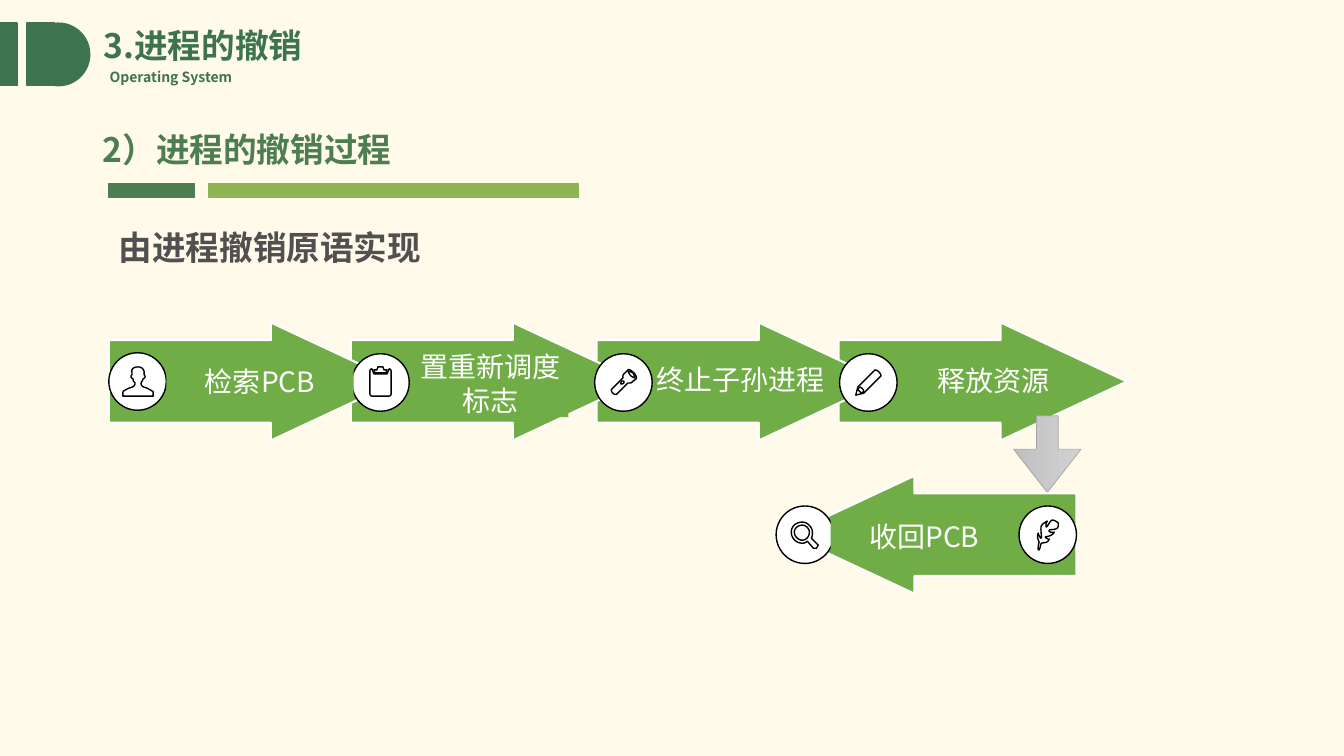
from dataclasses import dataclass
from typing import Iterator

from pptx import Presentation
from pptx.dml.color import RGBColor
from pptx.enum.shapes import MSO_SHAPE
from pptx.enum.text import MSO_ANCHOR, MSO_AUTO_SIZE, PP_ALIGN
from pptx.oxml.ns import qn
from pptx.shapes.autoshape import Shape
from pptx.slide import Slide
from pptx.util import Pt

RECTANGLE, OVAL = MSO_SHAPE.RECTANGLE, MSO_SHAPE.OVAL
RIGHT_ARROW, LEFT_ARROW = MSO_SHAPE.RIGHT_ARROW, MSO_SHAPE.LEFT_ARROW
TOP, MIDDLE = MSO_ANCHOR.TOP, MSO_ANCHOR.MIDDLE
LEFT, CENTER = PP_ALIGN.LEFT, PP_ALIGN.CENTER
NO_RESIZE = MSO_AUTO_SIZE.NONE


@dataclass(frozen=True)
class Theme:
    font: str = "Noto Sans CJK SC"
    page: str = "FFFAEA"
    header: str = "3D7351"
    heading: str = "4C7E51"
    accent: str = "8EB453"
    step: str = "70AD47"
    body: str = "505050"
    white: str = "FFFFFF"
    black: str = "000000"
    down_light: str = "D2D2D2"
    down_dark: str = "C0C0C0"
    down_edge: str = "A5A5A5"
    title_size: float = 24
    step_size: float = 20
    caption_size: float = 10


THEME = Theme()


@dataclass(frozen=True)
class Area:
    left: float
    top: float
    width: float
    height: float


@dataclass(frozen=True)
class Bar:
    area: Area
    color: str
    kind: MSO_SHAPE = RECTANGLE


@dataclass(frozen=True)
class Caption:
    text: str
    area: Area
    size: float
    color: str
    bold: bool = True
    align: PP_ALIGN = LEFT
    anchor: MSO_ANCHOR = TOP
    margin: tuple[float, float] = (7.2, 3.6)
    spacing: float = 1.0
    wrap: bool = True


@dataclass(frozen=True)
class Badge:
    left: float
    top: float
    outlines: tuple[str, ...]


@dataclass(frozen=True)
class Step:
    text: str
    area: Area


BADGE_SIZE = 41.04
ICON_UNIT = 0.72
CURVE_PARTS = 8
ARROW_WIDTH, ARROW_HEIGHT = 205.92, 84.24
ARROW_TOP = 230.4
ARROW_LEFTS = (599.04, 426.24, 250.56, 77.76)

PERSON = ("M 38 35 C 34 34 32 33 32 30 C 32 29 33 29 34 26 C 34 25 35 26 36 24 C 36 22 35 22 35 22 "
          "C 35 22 35 21 35 19 C 35 18 34 14 29 14 C 23 14 22 18 23 19 C 23 21 23 22 23 22 "
          "C 23 22 22 22 22 24 C 23 26 24 25 24 26 C 24 29 26 29 26 30 C 26 33 24 34 20 35 "
          "C 16 37 14 38 14 39 L 14 43 L 44 43 L 44 39 C 44 38 41 37 38 35",)
CLIPBOARD = ("M 37 15 L 35 20 L 22 20 L 20 15 C 19 15 18 16 18 17 L 18 40 C 18 41 19 42 20 42 "
             "L 37 42 C 38 42 39 41 39 40 L 39 17 C 39 16 38 15 37 15",
             "M 34 19 L 35 16 L 32 16 L 31 13 L 26 13 L 25 16 L 22 16 L 23 19")
FLASHLIGHT = ("M 36 22 C 34 20 33 17 33 17 C 34 17 36 18 38 19 C 39 21 40 23 40 24 C 40 24 37 23 36 22 "
              "M 26 30 C 26 29 26 28 27 27 C 27 27 28 27 29 27 C 29 28 29 28 29 29 C 28 30 27 30 26 30 "
              "M 39 19 C 36 16 33 15 33 16 L 29 20 C 28 21 28 22 28 24 L 17 35 C 16 36 17 38 18 39 "
              "C 19 40 21 41 22 40 L 33 29 C 35 29 37 29 37 28 L 41 25 C 42 24 41 21 39 19",)
PENCIL = ("M 23 38 L 21 39 C 21 38 20 38 20 37 C 19 37 19 36 18 36 L 19 34 L 20 33 "
          "C 20 33 21 33 23 35 C 24 36 24 38 24 38 L 23 38 "
          "M 39 18 C 37 16 35 16 35 16 L 27 24 L 18 33 L 16 41 L 24 39 L 33 30 L 41 22 "
          "C 41 22 41 20 39 18",)
FEATHER = ("M 20 43 C 21 42 21 40 22 37 C 26 36 28 37 30 33 C 28 33 26 31 26 31 C 26 30 32 31 35 26 "
           "C 31 27 29 25 30 24 C 31 23 35 24 38 22 C 39 21 39 18 39 17 C 38 16 35 14 33 14 "
           "C 31 14 28 21 27 21 C 27 21 26 18 28 15 C 26 16 23 18 22 20 C 21 24 23 32 22 32 "
           "C 21 32 19 28 19 27 C 18 29 18 32 20 36 C 19 38 19 41 19 43 C 19 44 20 44 20 43",)
MAGNIFIER = ("M 18 26 C 18 22 22 19 26 19 C 29 19 33 22 33 26 C 33 30 30 34 26 34 C 22 34 18 30 18 26 "
             "M 41 38 L 35 32 C 36 30 36 28 36 26 C 36 21 31 16 26 16 C 20 16 15 20 15 26 "
             "C 15 32 20 37 26 37 C 28 37 30 36 31 35 L 37 42 C 38 42 39 42 40 42 L 41 40 "
             "C 42 39 42 39 41 38",)

BARS = (
    Bar(Area(0, 16.56, 12.24, 44.64), THEME.header),
    Bar(Area(19.44, 16.56, 19.44, 44.64), THEME.header),
    Bar(Area(19.44, 16.56, 44.64, 44.64), THEME.header, OVAL),
    Bar(Area(77.76, 131.04, 61.2, 10.08), THEME.heading),
    Bar(Area(149.04, 131.04, 264.24, 10.08), THEME.accent),
)
CAPTIONS = (
    Caption("Operating System", Area(71.28, 45.36, 105.84, 19.44), THEME.caption_size, THEME.header, wrap=False),
    Caption("3.进程的撤销", Area(66.96, 15.84, 312.48, 36), THEME.title_size, THEME.header,
            anchor=MIDDLE, spacing=0.9),
    Caption("2）进程的撤销过程", Area(66.24, 88.56, 311.76, 36), THEME.title_size, THEME.heading),
    Caption("由进程撤销原语实现", Area(77.76, 158.4, 573.12, 36), THEME.title_size, THEME.body),
)
FORWARD_BADGES = (
    Badge(251.28, 252.72, CLIPBOARD),
    Badge(77.76, 252, PERSON),
    Badge(424.8, 252.72, FLASHLIGHT),
    Badge(599.76, 252.72, PENCIL),
)
RETURN_BADGES = (Badge(727.92, 361.44, FEATHER), Badge(554.4, 361.44, MAGNIFIER))
FORWARD_STEPS = (
    Step("检索PCB", Area(118.8, 260.64, 133.92, 24.48)),
    Step("置重新调度标志", Area(294.48, 249.84, 111.6, 48.24)),
    Step("终止子孙进程", Area(468.72, 259.2, 120.24, 24.48)),
    Step("释放资源", Area(642.96, 259.92, 133.92, 24.48)),
)
RETURN_STEP = Step("收回PCB", Area(593.28, 370.8, 133.92, 24.48))


def paint(shape: Shape, fill: str, line: str | None, width: float = 1) -> None:
    shape.shadow.inherit = False
    shape.fill.solid()
    shape.fill.fore_color.rgb = RGBColor.from_string(fill)
    if line is None:
        shape.line.fill.background()
    else:
        shape.line.color.rgb = RGBColor.from_string(line)
        shape.line.width = Pt(width)


def add_preset(page: Slide, kind: MSO_SHAPE, area: Area) -> Shape:
    return page.shapes.add_shape(kind, Pt(area.left), Pt(area.top), Pt(area.width), Pt(area.height))


def write(box: Shape, caption: Caption) -> None:
    side, edge = (Pt(value) for value in caption.margin)
    frame_format = {"margin_left": side, "margin_right": side, "margin_top": edge, "margin_bottom": edge,
                    "word_wrap": caption.wrap, "auto_size": NO_RESIZE, "vertical_anchor": caption.anchor}
    for name, value in frame_format.items():
        setattr(box.text_frame, name, value)
    para = box.text_frame.paragraphs[0]
    para.alignment, para.line_spacing = caption.align, caption.spacing
    span = para.add_run()
    span.text = caption.text
    font_format = {"name": THEME.font, "size": Pt(caption.size), "bold": caption.bold}
    for name, value in font_format.items():
        setattr(span.font, name, value)
    span.font.color.rgb = RGBColor.from_string(caption.color)
    east_asian = span.font._element.makeelement(qn("a:ea"), {"typeface": THEME.font})
    span.font._element.append(east_asian)


def add_caption(page: Slide, caption: Caption) -> None:
    area = caption.area
    write(page.shapes.add_textbox(Pt(area.left), Pt(area.top), Pt(area.width), Pt(area.height)), caption)


def add_step(page: Slide, step: Step) -> None:
    box = add_preset(page, RECTANGLE, step.area)
    paint(box, THEME.step, None)
    write(box, Caption(step.text, step.area, THEME.step_size, THEME.white, False, CENTER, margin=(0, 0)))


def add_arrow(page: Slide, kind: MSO_SHAPE, left: float, top: float) -> None:
    arrow = add_preset(page, kind, Area(left, top, ARROW_WIDTH, ARROW_HEIGHT))
    arrow.adjustments[0], arrow.adjustments[1] = 0.7, 1.07
    paint(arrow, THEME.step, THEME.white, 1.5)


def contours(outline: str) -> Iterator[list[tuple[int, int]]]:
    for contour in outline.split("M")[1:]:
        points: list[tuple[float, float]] = []
        for segment in contour.replace("L", "C").split("C"):
            numbers = [float(number) for number in segment.split()]
            if len(numbers) == 2:
                points.append((numbers[0], numbers[1]))
                continue
            start = points[-1]
            for part in range(1, CURVE_PARTS + 1):
                t = part / CURVE_PARTS
                weights = ((1 - t) ** 3, 3 * t * (1 - t) ** 2, 3 * t * t * (1 - t), t ** 3)
                xs, ys = (start[0], *numbers[::2]), (start[1], *numbers[1::2])
                points.append((sum(w * x for w, x in zip(weights, xs)), sum(w * y for w, y in zip(weights, ys))))
        yield [(Pt(x * ICON_UNIT), Pt(y * ICON_UNIT)) for x, y in points]


def add_badge(page: Slide, badge: Badge) -> None:
    circle = add_preset(page, OVAL, Area(badge.left, badge.top, BADGE_SIZE, BADGE_SIZE))
    paint(circle, THEME.white, THEME.black)
    for outline in badge.outlines:
        first, *others = contours(outline)
        builder = page.shapes.build_freeform(*first[0])
        builder.add_line_segments(first[1:], close=True)
        for points in others:
            builder.move_to(*points[0])
            builder.add_line_segments(points[1:], close=True)
        paint(builder.convert_to_shape(Pt(badge.left), Pt(badge.top)), THEME.white, THEME.black)


def add_down_arrow(page: Slide) -> None:
    arrow = add_preset(page, RIGHT_ARROW, Area(720.72, 300.24, 54.72, 48.24))
    arrow.rotation = 90
    arrow.adjustments[0], arrow.adjustments[1] = 0.32, 0.64
    paint(arrow, THEME.down_light, THEME.down_edge, 0.5)
    arrow.fill.gradient()
    arrow.fill.gradient_angle = 270
    for stop, color in zip(arrow.fill.gradient_stops, (THEME.down_light, THEME.down_dark)):
        stop.color.rgb = RGBColor.from_string(color)


def main() -> None:
    deck = Presentation()
    deck.slide_width, deck.slide_height = Pt(960), Pt(540)
    page = deck.slides.add_slide(deck.slide_layouts[6])
    page.background.fill.solid()
    page.background.fill.fore_color.rgb = RGBColor.from_string(THEME.page)
    for bar in BARS:
        paint(add_preset(page, bar.kind, bar.area), bar.color, bar.color)
    for caption in CAPTIONS:
        add_caption(page, caption)
    for left in ARROW_LEFTS:
        add_arrow(page, RIGHT_ARROW, left, ARROW_TOP)
    for badge in FORWARD_BADGES:
        add_badge(page, badge)
    for step in FORWARD_STEPS:
        add_step(page, step)
    add_down_arrow(page)
    add_arrow(page, LEFT_ARROW, 563.04, 339.84)
    for badge in RETURN_BADGES:
        add_badge(page, badge)
    add_step(page, RETURN_STEP)
    deck.save("out.pptx")


if __name__ == "__main__":
    main()
